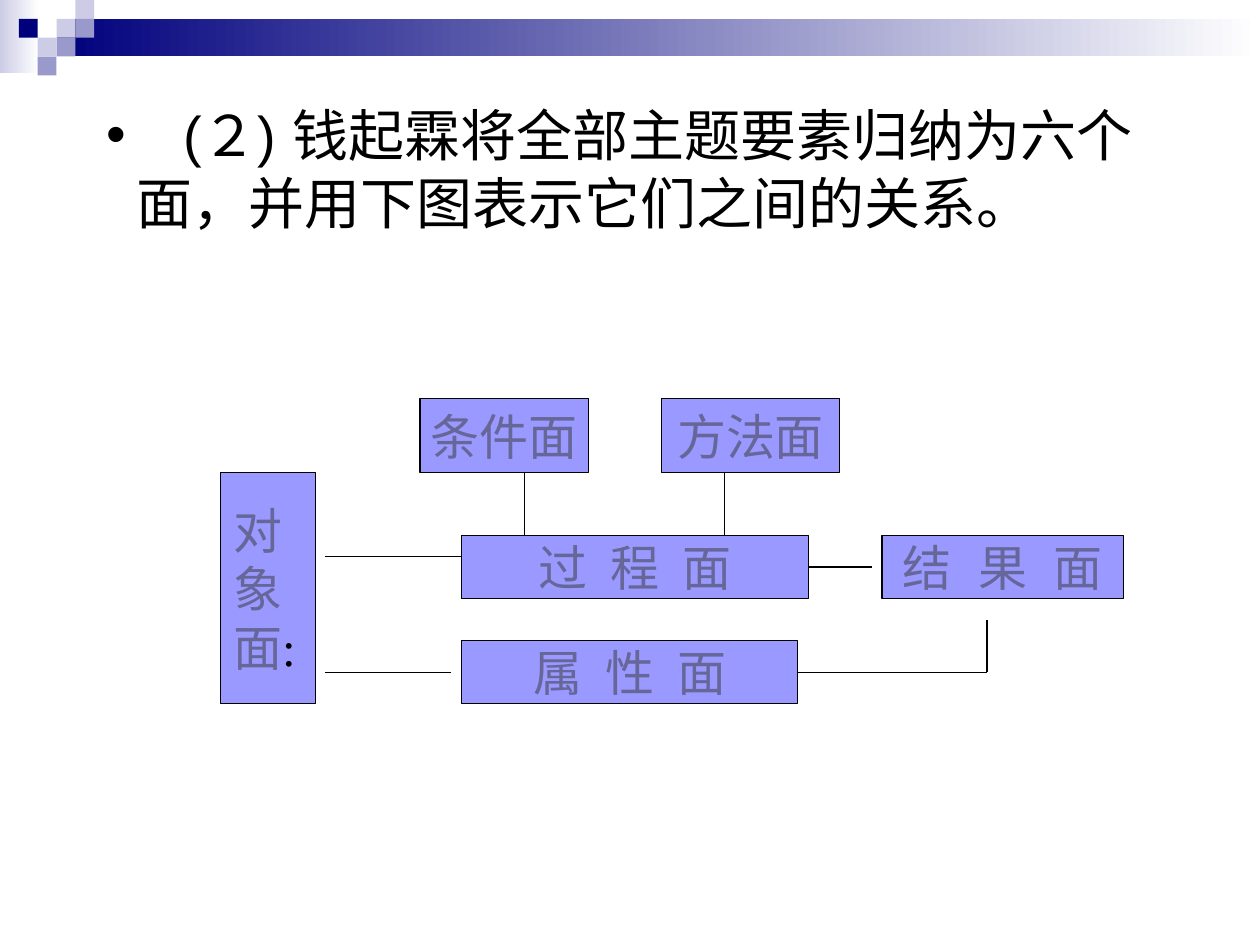
from lxml.etree import SubElement
from pptx import Presentation
from pptx.dml.color import RGBColor
from pptx.enum.shapes import MSO_CONNECTOR, MSO_SHAPE
from pptx.enum.text import MSO_ANCHOR, PP_ALIGN
from pptx.oxml.ns import qn
from pptx.util import Cm, Pt

COLOURS = {
    "ink": "000000",
    "label": "666699",
    "facet": "9999FF",
    "navy": "00007D",
    "lilac": "9999CC",
    "pale": "CCCCE6",
    "paper": "FFFFFF",
}
FORMATS = {
    "heading": {"name": "Arial", "size": Pt(32)},
    "facet": {"name": "Times New Roman", "size": Pt(28)},
    "frame": {
        "vertical_anchor": MSO_ANCHOR.MIDDLE,
        "margin_left": Cm(0.25),
        "margin_right": Cm(0.25),
        "margin_top": Cm(0.13),
        "margin_bottom": Cm(0.13),
    },
}
TILE = 0.38


def colour(key):
    """Return the named colour."""
    return RGBColor.from_string(COLOURS[key])


def apply_format(target, key):
    """Set every attribute of the named format on the target."""
    for attribute, value in FORMATS[key].items():
        setattr(target, attribute, value)


class FacetSlide:
    """Hold the drawing style and the current slide."""

    def __init__(self, deck):
        self.slide = deck.slides.add_slide(deck.slide_layouts[6])

    def block(self, place, start, end=None, outline=None):
        shape = self.slide.shapes.add_shape(MSO_SHAPE.RECTANGLE, *map(Cm, place))
        shape.shadow.inherit = False
        if end:
            shape.fill.gradient()
            shape.fill.gradient_angle = 0
            for stop, key in zip(shape.fill.gradient_stops, (start, end)):
                stop.color.rgb = colour(key)
        else:
            shape.fill.solid()
            shape.fill.fore_color.rgb = colour(start)
        if outline:
            shape.line.color.rgb = colour(outline)
            shape.line.width = Pt(0.75)
        else:
            shape.line.fill.background()
        return shape

    def style_run(self, run, key, ink, spacing=0):
        apply_format(run.font, key)
        run.font.color.rgb = colour(ink)
        if spacing:
            run.font._element.set("spc", str(spacing))

    def heading(self, place, text, lead):
        frame = self.slide.shapes.add_textbox(*map(Cm, place)).text_frame
        apply_format(frame, "frame")
        frame.word_wrap = True
        paragraph = frame.paragraphs[0]
        properties = paragraph._p.get_or_add_pPr()
        properties.set("marL", str(Cm(0.6)))
        properties.set("indent", str(-Cm(0.6)))
        SubElement(properties, qn("a:buFont"), typeface="Arial")
        SubElement(properties, qn("a:buChar"), char="•")
        for part, spacing in ((" ", lead), (text, 0)):
            run = paragraph.add_run()
            run.text = part
            self.style_run(run, "heading", "ink", spacing)

    def facet(self, place, text, spacing=0, align=PP_ALIGN.CENTER, suffix=""):
        frame = self.block(place, "facet", outline="ink").text_frame
        apply_format(frame, "frame")
        frame.word_wrap = False
        paragraph = frame.paragraphs[0]
        paragraph.text = text
        paragraph.alignment = align
        for run in paragraph.runs:
            self.style_run(run, "facet", "label", spacing)
        if suffix:
            run = paragraph.add_run()
            run.text = suffix
            self.style_run(run, "facet", "ink")

    def link(self, *ends):
        line = self.slide.shapes.add_connector(MSO_CONNECTOR.STRAIGHT, *map(Cm, ends))
        line.line.color.rgb = colour("ink")
        line.line.width = Pt(0.75)
        SubElement(line._element.spPr, qn("a:effectLst"))


def main():
    """Build the slide of the six subject facets."""
    deck = Presentation()
    deck.slide_width, deck.slide_height = Cm(25.4), Cm(19.05)
    page = FacetSlide(deck)

    page.block((0, 0, 0.79, 1.47), "pale", "paper")
    page.block((1.14, 0.38, 24.26, 0.76), "navy", "paper")
    mosaic = (
        (3, 1, "pale"), (4, 0, "pale"), (4, 1, "lilac"), (2, 2, "pale"),
        (1, 1, "navy"), (3, 2, "lilac"), (2, 3, "lilac"),
    )
    for column, row, tint in mosaic:
        page.block((column * TILE, row * TILE, TILE, TILE), tint)

    page.heading(
        (1.9, 1.7, 21.6, 3.38),
        "(２) 钱起霖将全部主题要素归纳为六个面，并用下图表示它们之间的关系。",
        1780,
    )

    facets = (
        ((8.47, 8.04, 3.39, 1.48), "条件面", 0),
        ((13.33, 8.04, 3.6, 1.48), "方法面", 0),
        ((9.31, 10.8, 6.99, 1.27), "过 程 面", 350),
        ((17.78, 10.8, 4.87, 1.27), "结 果 面", 450),
        ((9.31, 12.91, 6.77, 1.27), "属 性 面", 350),
    )
    for place, text, spacing in facets:
        page.facet(place, text, spacing)
    page.facet((4.45, 9.53, 1.91, 4.66), "对\v象\v面", align=PP_ALIGN.LEFT, suffix=":")

    links = (
        (6.56, 11.22, 9.31, 11.22),
        (6.56, 13.55, 9.1, 13.55),
        (10.58, 9.53, 10.58, 10.8),
        (14.61, 9.53, 14.61, 10.8),
        (16.09, 13.55, 19.9, 13.55),
        (19.9, 13.55, 19.9, 12.49),
        (16.3, 11.43, 17.57, 11.43),
    )
    for ends in links:
        page.link(*ends)

    deck.save("out.pptx")


if __name__ == "__main__":
    main()
